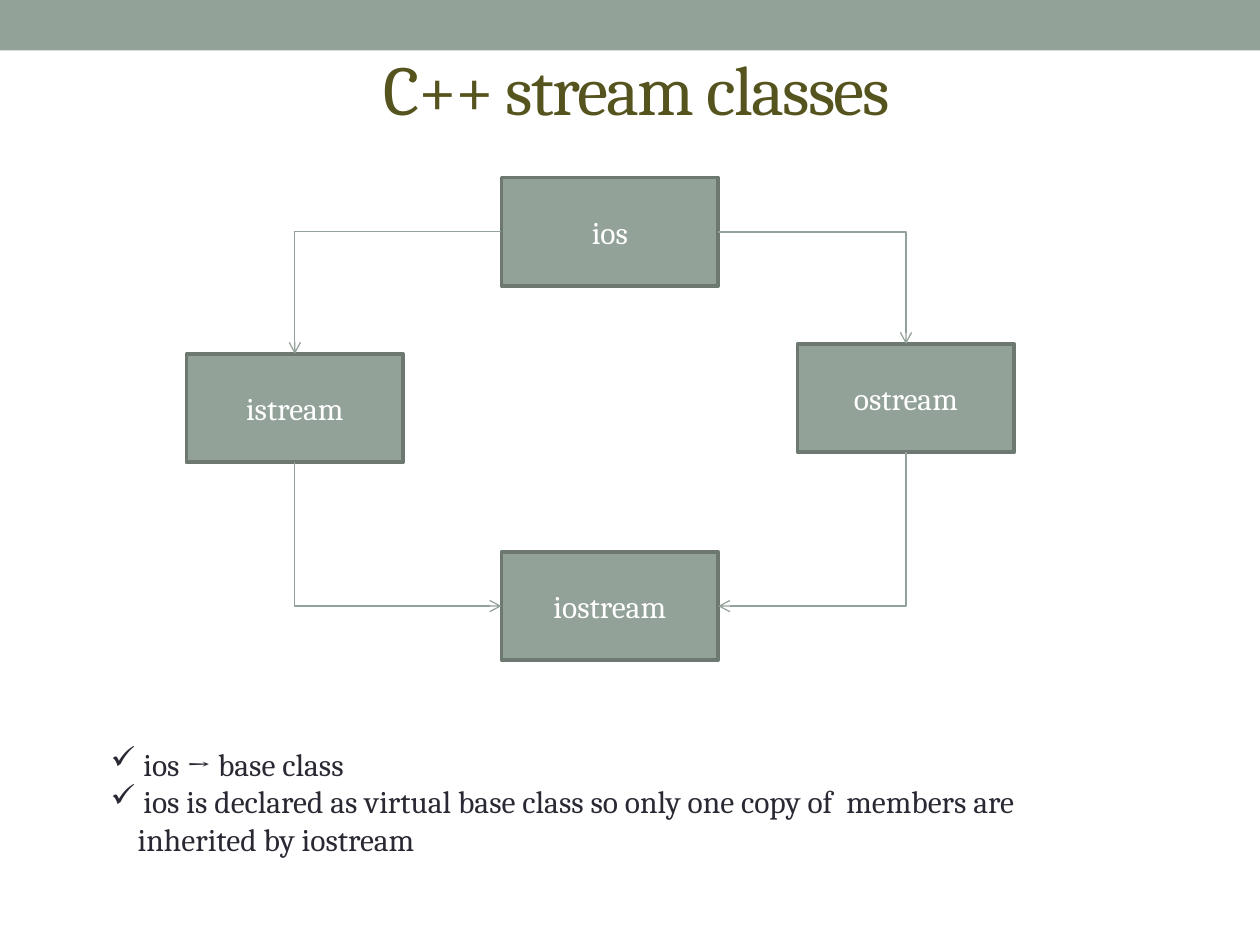
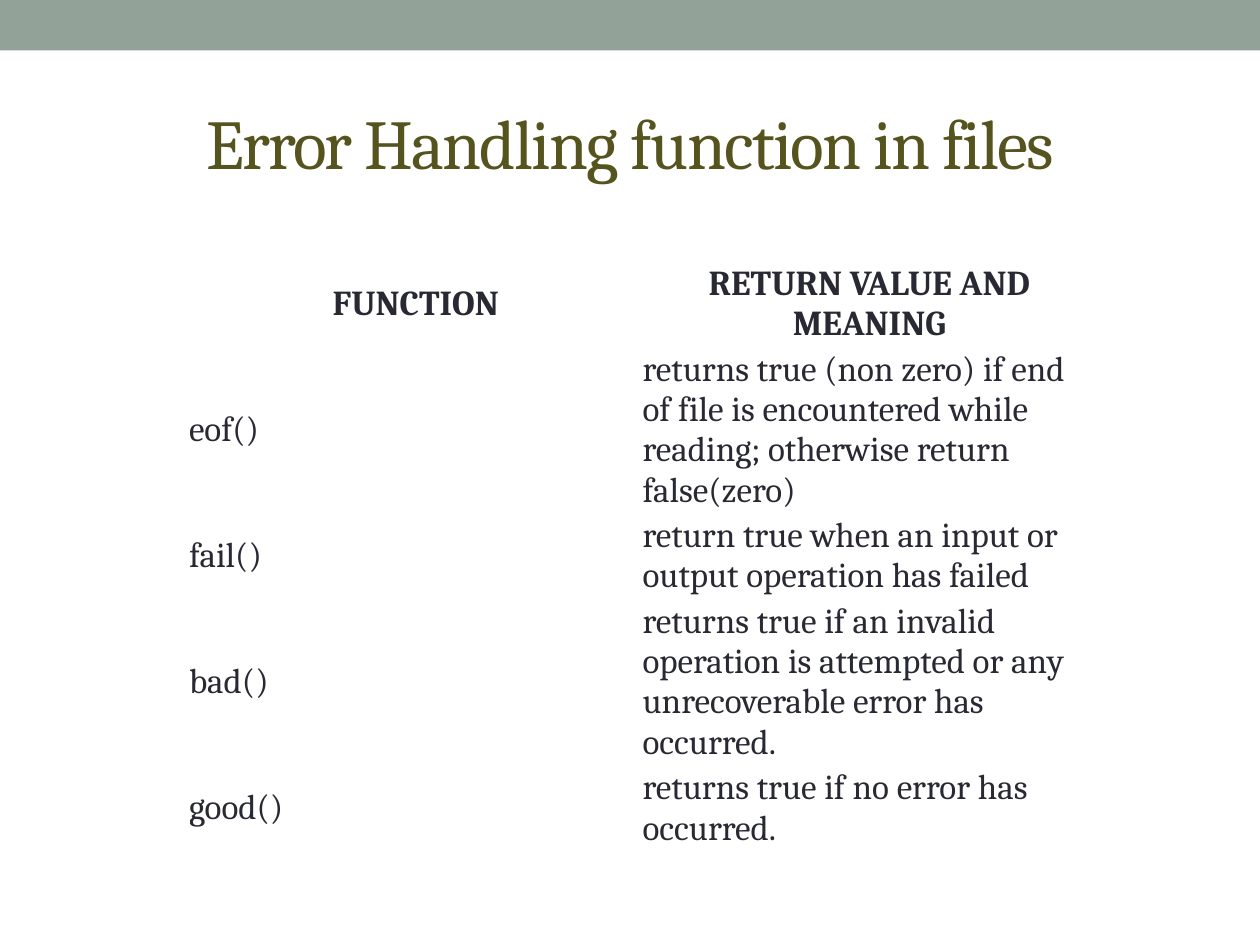
from dataclasses import dataclass

import pptx
import pptx.dml.color
import pptx.enum.shapes
import pptx.enum.text
import pptx.oxml.ns
import pptx.util
from lxml import etree

Pt = pptx.util.Pt
RGB = pptx.dml.color.RGBColor.from_string
ALIGN = pptx.enum.text.PP_ALIGN
MIDDLE = pptx.enum.text.MSO_ANCHOR.MIDDLE
RECT = pptx.enum.shapes.MSO_SHAPE.RECTANGLE
ELBOW = pptx.enum.shapes.MSO_CONNECTOR.ELBOW
qn = pptx.oxml.ns.qn


@dataclass
class Theme:
    """Colours, font and type sizes shared by the slides."""
    font: str = "Cambria"
    sage: str = "93A299"
    edge: str = "6D7871"
    olive: str = "56541E"
    ink: str = "292934"
    white: str = "FFFFFF"
    title: int = 40
    body: int = 18
    table: int = 20


theme = Theme()
prs = pptx.Presentation()
prs.slide_width = pptx.util.Inches(10)
prs.slide_height = pptx.util.Inches(7.5)
COL = prs.slide_width // 100   # grid of 100 columns
ROW = prs.slide_height // 75   # and 75 rows


def grid(left, top, width, height):
    """Turn grid columns and rows into slide lengths."""
    return [round(v) for v in (left * COL, top * ROW, width * COL, height * ROW)]


def write(p, text, size, color, align=ALIGN.LEFT, bold=False):
    """Put one styled run in a paragraph and return it."""
    p.alignment = align
    r = p.add_run()
    r.text = text
    for name, value in {"name": theme.font, "size": Pt(size), "bold": bold}.items():
        setattr(r.font, name, value)
    r.font.color.rgb = RGB(color)
    return r


# Shared band and title
slides = []
for title, box in [
    ("C++ stream classes", (5, 3.1, 91.1, 7.7)),
    ("Error Handling function in files", (5, 5.8, 90, 10.8)),
]:
    s = prs.slides.add_slide(prs.slide_layouts[6])
    band = s.shapes.add_shape(RECT, *grid(0, 0, 100, 4))
    band.shadow.inherit = False
    band.fill.solid()
    band.fill.fore_color.rgb = RGB(theme.sage)
    band.line.fill.background()
    tf = s.shapes.add_textbox(*grid(*box)).text_frame
    tf.word_wrap = True
    tf.vertical_anchor = MIDDLE
    r = write(tf.paragraphs[0], title, theme.title, theme.olive, ALIGN.CENTER)
    r.font._element.set("spc", "-100")
    slides.append(s)
diagram, errors = slides

# Class diagram: boxes
boxes = {}
for name, left, top in [
    ("ios", 39.8, 14.1),
    ("ostream", 63.3, 27.3),
    ("istream", 14.8, 28.1),
    ("iostream", 39.8, 43.8),
]:
    sp = diagram.shapes.add_shape(RECT, *grid(left, top, 17.2, 8.6))
    sp.shadow.inherit = False
    sp.fill.solid()
    sp.fill.fore_color.rgb = RGB(theme.sage)
    sp.line.color.rgb = RGB(theme.edge)
    sp.line.width = Pt(2.08)
    sp.text_frame.vertical_anchor = MIDDLE
    write(sp.text_frame.paragraphs[0], name, theme.body, theme.white, ALIGN.CENTER)
    boxes[name] = sp

# Class diagram: one-bend arrows between box sides
TOP, LEFT, BOTTOM, RIGHT = range(4)
for source, start, target, end, turn, flip in [
    ("ios", LEFT, "istream", TOP, 180, "flipV"),
    ("ios", RIGHT, "ostream", TOP, 0, None),
    ("istream", BOTTOM, "iostream", LEFT, 270, "flipH"),
    ("ostream", BOTTOM, "iostream", RIGHT, 90, None),
]:
    c = diagram.shapes.add_connector(ELBOW, 0, 0, 0, 0)
    c.begin_connect(boxes[source], start)
    c.end_connect(boxes[target], end)
    c.line.color.rgb = RGB(theme.sage)
    c.line.width = Pt(0.75)
    spPr = c._element.spPr
    spPr.find(qn("a:prstGeom")).set("prst", "bentConnector2")
    xfrm = spPr.find(qn("a:xfrm"))
    for name in ("flipH", "flipV"):
        xfrm.attrib.pop(name, None)
    if flip:
        xfrm.set(flip, "1")
    if turn:
        xfrm.set("rot", str(turn * 60000))
    if turn in (90, 270):
        # A quarter turn swaps the sides of the frame about its centre
        shift = (c.width - c.height) // 2
        c.left, c.top, c.width, c.height = (
            c.left + shift, c.top - shift, c.height, c.width)
    etree.SubElement(spPr.find(qn("a:ln")), qn("a:tailEnd"), type="arrow")
    etree.SubElement(spPr, qn("a:effectLst"))

# Class diagram: notes below, ticked or only indented
tf = diagram.shapes.add_textbox(*grid(7.8, 58.6, 88.3, 10.1)).text_frame
tf.word_wrap = True
for i, (text, ticked) in enumerate([
    ("ios \u2192 base class", True),
    ("ios is declared as virtual base class so only one copy of  members are", True),
    ("inherited by iostream", False),
]):
    p = tf.add_paragraph() if i else tf.paragraphs[0]
    write(p, text, theme.body, theme.ink)
    indent = round((2.6 if ticked else 2.15) * COL)
    pPr = p._p.get_or_add_pPr()
    pPr.set("marL", str(indent))
    pPr.set("indent", str(-indent if ticked else 0))
    if ticked:
        etree.SubElement(pPr, qn("a:buChar"), char="\u2713")

# Error functions: each row is as high as its lines of text
LINE = 3.2
rows = [
    (2, "FUNCTION", "RETURN VALUE AND MEANING"),
    (4, "eof()", "returns true (non zero) if end of file is encountered "
                 "while reading; otherwise return false(zero)"),
    (2, "fail()", "return true when an input or output operation has failed"),
    (4, "bad()", "returns true if an invalid operation is attempted or any "
                 "unrecoverable error has occurred."),
    (2, "good()", "returns true if no error has occurred."),
]
height = LINE * sum(row[0] for row in rows)
table = errors.shapes.add_table(len(rows), 2, *grid(15, 20.8, 72, height)).table
table.first_row = False
table.horz_banding = False
for i, (lines, *texts) in enumerate(rows):
    table.rows[i].height = round(lines * LINE * ROW)
    for j, text in enumerate(texts):
        cell = table.cell(i, j)
        cell.fill.background()
        cell.vertical_anchor = MIDDLE
        for side in ("left", "right", "top", "bottom"):
            setattr(cell, "margin_" + side, 0)
        write(cell.text_frame.paragraphs[0], text, theme.table, theme.ink,
              ALIGN.LEFT if i else ALIGN.CENTER, bold=i == 0)

prs.save("out.pptx")
